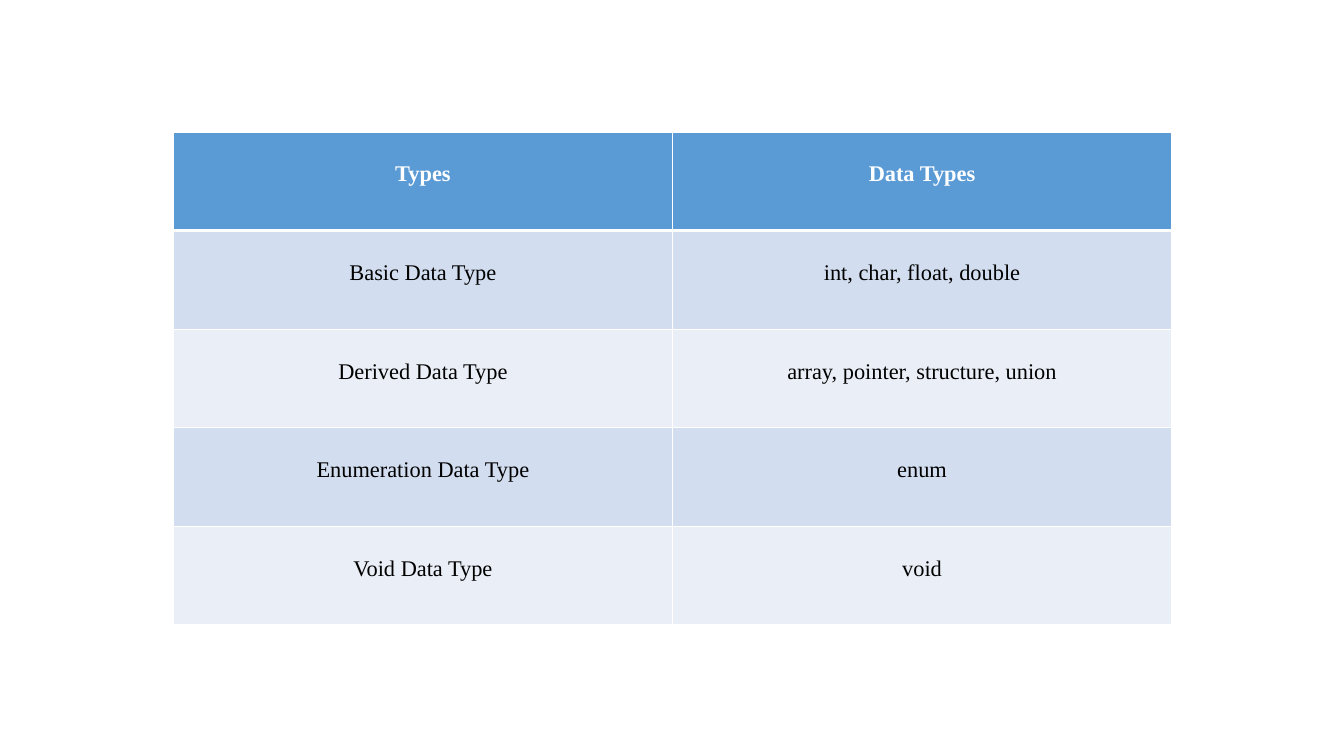
"""Build a slide with a table of the C data types."""
import pptx
import pptx.dml.color
import pptx.enum.text
import pptx.oxml
import pptx.oxml.ns
import pptx.util

Inches, Pt = pptx.util.Inches, pptx.util.Pt
RGBColor = pptx.dml.color.RGBColor

WHITE = RGBColor(0xFF, 0xFF, 0xFF)
BLACK = RGBColor(0x00, 0x00, 0x00)
BLUE = RGBColor(0x5B, 0x9B, 0xD5)
BANDS = (RGBColor(0xEA, 0xEF, 0xF7), RGBColor(0xD2, 0xDE, 0xEF))

DATA_TYPES = [
    ("Types", "Data Types"),
    ("Basic Data Type", "int, char, float, double"),
    ("Derived Data Type", "array, pointer, structure, union"),
    ("Enumeration Data Type", "enum"),
    ("Void Data Type", "void"),
]


class SlideBuilder:
    def __init__(self, prs):
        self.s = prs.slides.add_slide(prs.slide_layouts[6])
        self.font = {"name": "Times New Roman", "size": Pt(16)}
        self.paragraph = {
            "alignment": pptx.enum.text.PP_ALIGN.CENTER,
            "line_spacing": 2.0,
        }

    def apply(self, target, values):
        for name, value in values.items():
            setattr(target, name, value)

    def borders(self, cell, top, bottom):
        tcPr = cell._tc.get_or_add_tcPr()
        widths = {"lnL": 1, "lnR": 1, "lnT": top, "lnB": bottom}
        for i, (tag, width) in enumerate(widths.items()):
            ln = pptx.oxml.parse_xml(
                f'<a:{tag} {pptx.oxml.ns.nsdecls("a")} w="{Pt(width)}">'
                f'<a:solidFill><a:srgbClr val="{WHITE}"/></a:solidFill></a:{tag}>'
            )
            tcPr.insert(i, ln)

    def cell(self, cell, text, fill, color, bold):
        cell.fill.solid()
        cell.fill.fore_color.rgb = fill
        p = cell.text_frame.paragraphs[0]
        self.apply(p, self.paragraph)
        r = p.add_run()
        r.text = text
        self.apply(r.font, {**self.font, "bold": bold})
        r.font.color.rgb = color

    def table(self, rows, left, top, width, height):
        sp = self.s.shapes.add_table(
            len(rows), len(rows[0]),
            Inches(left), Inches(top), Inches(width), Inches(height),
        )
        for i, row in enumerate(rows):
            header = i == 0
            fill = BLUE if header else BANDS[i % 2]
            color = WHITE if header else BLACK
            for j, text in enumerate(row):
                cell = sp.table.cell(i, j)
                self.cell(cell, text, fill, color, header)
                self.borders(cell, 3 if i == 1 else 1, 3 if header else 1)


def main():
    prs = pptx.Presentation()
    prs.slide_width, prs.slide_height = Inches(13.33), Inches(7.5)
    SlideBuilder(prs).table(DATA_TYPES, 1.72, 1.31, 9.9, 4.89)
    prs.save("out.pptx")


if __name__ == "__main__":
    main()
